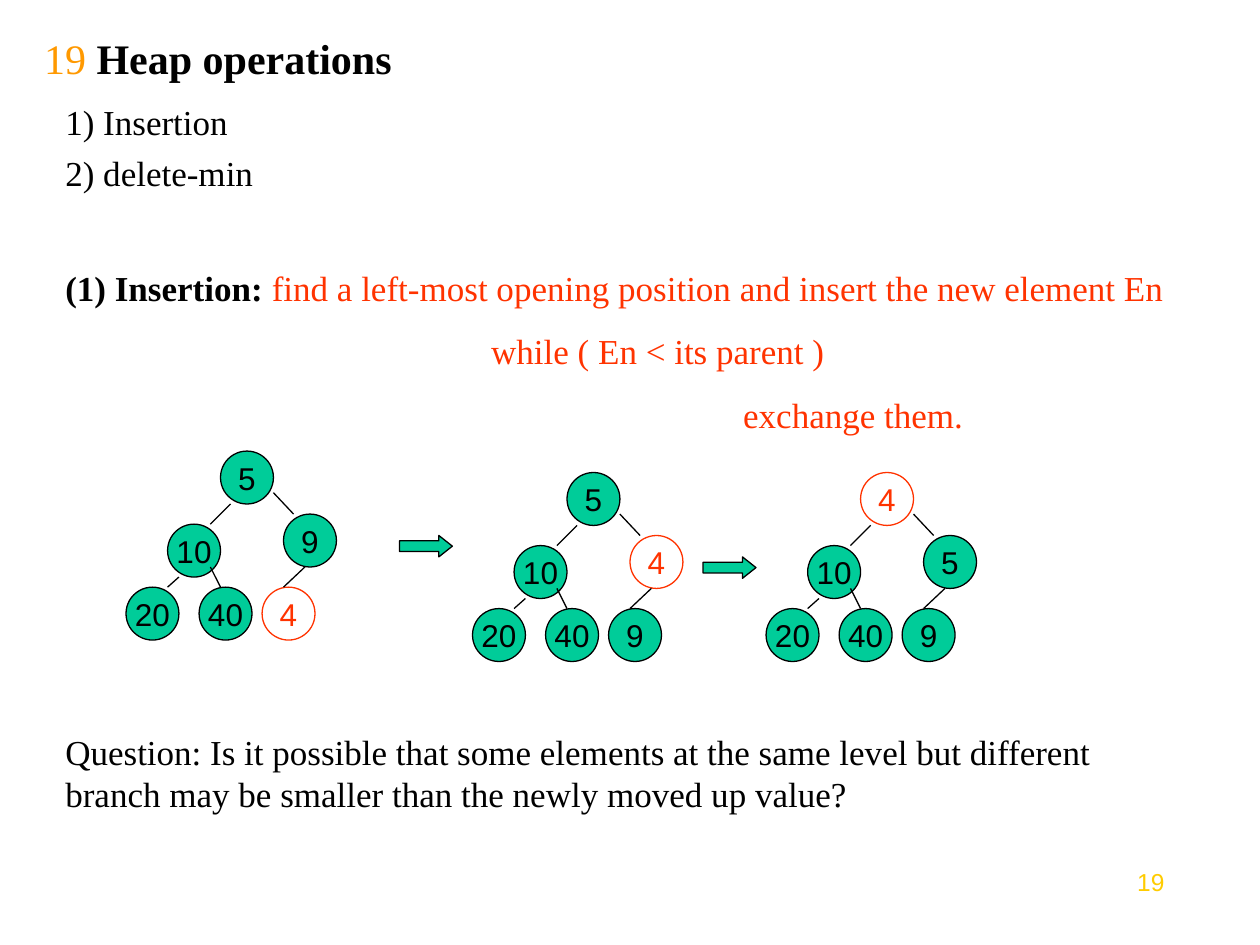
from dataclasses import dataclass

from lxml import etree
from pptx import Presentation
from pptx.dml.color import RGBColor
from pptx.enum.shapes import MSO_CONNECTOR, MSO_SHAPE
from pptx.enum.text import MSO_ANCHOR, PP_ALIGN
from pptx.oxml.ns import qn
from pptx.util import Inches, Pt

ELLIPSE, RIGHT_ARROW = MSO_SHAPE.OVAL, MSO_SHAPE.RIGHT_ARROW
STRAIGHT = MSO_CONNECTOR.STRAIGHT
MIDDLE = MSO_ANCHOR.MIDDLE
LEFT, CENTER, RIGHT = PP_ALIGN.LEFT, PP_ALIGN.CENTER, PP_ALIGN.RIGHT

COLORS = {"ink": "000000", "node": "00CC99", "new": "FF3300",
          "title_number": "FF9900", "page_number": "FFCC00"}
SERIF, SANS = "Times New Roman", "Arial"
NODE_SIZE = 0.42
LINE_WIDTH = Pt(0.75)

# Offsets inside one tree: root, its two children, then the three leaves
NODE_OFFSETS = [(0.75, 0), (0.33, 0.58), (1.25, 0.5),
                (0, 1.08), (0.58, 1.08), (1.08, 1.08)]
EDGE_OFFSETS = [(0.83, 0.42, 0.67, 0.58), (0.42, 1, 0.33, 1.08),
                (1.17, 0.33, 1.33, 0.5), (0.67, 0.92, 0.75, 1.08),
                (1.42, 0.92, 1.25, 1.08)]


@dataclass
class Heap:
    left: float
    top: float
    values: list[int]
    new_index: int


@dataclass
class Line:
    phrases: list[tuple[str, str, bool]]  # text, colour, bold
    space_before: float
    indent: float = 0


HEAPS = [
    Heap(1, 3.58, [5, 10, 9, 20, 40, 4], 5),
    Heap(3.75, 3.75, [5, 10, 4, 20, 40, 9], 2),
    Heap(6.08, 3.75, [4, 10, 5, 20, 40, 9], 0),
]
STEP_ARROWS = [(3.17, 4.25), (5.58, 4.42)]
OPERATIONS = [
    Line([("1) Insertion", "ink", False)], 5),
    Line([("2) delete-min", "ink", False)], 5),
    Line([("(1) Insertion: ", "ink", True),
          ("find a left-most opening position and insert the new element En",
           "new", False)], 41.5),
    Line([("while ( En < its parent )", "new", False)], 12.5, 3.38),
    Line([("exchange them.", "new", False)], 12.5, 5.38),
]
QUESTION = [Line([("Question: Is it possible that some elements at the same level "
                   "but different branch may be smaller than the newly moved up "
                   "value?", "ink", False)], 12.5)]


def rgb(name: str) -> RGBColor:
    return RGBColor.from_string(COLORS[name])


def add_run(paragraph, text: str, size: float, color: str,
            font: str = SERIF, bold: bool = False) -> None:
    run = paragraph.add_run()
    run.text = text
    run.font.name, run.font.size, run.font.bold = font, Pt(size), bold
    run.font.color.rgb = rgb(color)


def add_text(slide, left: float, top: float, width: float, height: float,
             lines: list[Line]) -> None:
    box = slide.shapes.add_textbox(Inches(left), Inches(top),
                                   Inches(width), Inches(height))
    frame = box.text_frame
    frame.word_wrap = True
    for index, line in enumerate(lines):
        paragraph = frame.add_paragraph() if index else frame.paragraphs[0]
        paragraph.space_before = Pt(line.space_before)
        paragraph.line_spacing = Pt(24)
        if line.indent:
            paragraph._p.get_or_add_pPr().set("marL", str(Inches(line.indent)))
        for text, color, bold in line.phrases:
            add_run(paragraph, text, 20, color, bold=bold)


def add_outlined(shapes, kind, left: float, top: float, height: float,
                 fill: str | None, outline: str):
    shape = shapes.add_shape(kind, Inches(left), Inches(top),
                             Inches(NODE_SIZE), Inches(height))
    shape.shadow.inherit = False
    if fill:
        shape.fill.solid()
        shape.fill.fore_color.rgb = rgb(fill)
    else:
        shape.fill.background()
    shape.line.color.rgb = rgb(outline)
    shape.line.width = LINE_WIDTH
    return shape


def add_node(shapes, left: float, top: float, value: int, is_new: bool) -> None:
    color = "new" if is_new else "ink"
    node = add_outlined(shapes, ELLIPSE, left, top, NODE_SIZE,
                        None if is_new else "node", color)
    frame = node.text_frame
    frame.word_wrap = False
    frame.vertical_anchor = MIDDLE
    frame.paragraphs[0].alignment = CENTER
    add_run(frame.paragraphs[0], str(value), 18, color, SANS)


def add_edge(shapes, x1: float, y1: float, x2: float, y2: float) -> None:
    edge = shapes.add_connector(STRAIGHT, Inches(x1), Inches(y1),
                                Inches(x2), Inches(y2))
    edge.line.color.rgb = rgb("ink")
    edge.line.width = LINE_WIDTH
    etree.SubElement(edge._element.spPr, qn("a:effectLst"))


def add_heap(slide, heap: Heap) -> None:
    shapes = slide.shapes.add_group_shape().shapes
    for index, ((dx, dy), value) in enumerate(zip(NODE_OFFSETS, heap.values)):
        add_node(shapes, heap.left + dx, heap.top + dy, value,
                 index == heap.new_index)
    for x1, y1, x2, y2 in EDGE_OFFSETS:
        add_edge(shapes, heap.left + x1, heap.top + y1,
                 heap.left + x2, heap.top + y2)


def main() -> None:
    deck = Presentation()
    deck.slide_width, deck.slide_height = Inches(10), Inches(7.5)
    slide = deck.slides.add_slide(deck.slide_layouts[5])

    # Title
    title = slide.shapes.title
    title.left, title.top = Inches(0.25), Inches(0.25)
    title.width, title.height = Inches(8.5), Inches(0.42)
    title.text_frame.vertical_anchor = MIDDLE
    heading = title.text_frame.paragraphs[0]
    heading.alignment = LEFT
    add_run(heading, "19 ", 24, "title_number")
    add_run(heading, "Heap operations", 24, "ink", bold=True)

    # Operations and the insertion rule
    add_text(slide, 0.42, 0.75, 9.33, 2.83, OPERATIONS)

    # Heap after each exchange
    for heap in HEAPS:
        add_heap(slide, heap)
    for left, top in STEP_ARROWS:
        arrow = add_outlined(slide.shapes, RIGHT_ARROW, left, top, 0.17,
                             "node", "ink")
        arrow.adjustments[1] = 0.63

    # Closing question
    add_text(slide, 0.42, 5.75, 8.67, 0.77, QUESTION)

    # Page number
    page = slide.shapes.add_textbox(Inches(8.67), Inches(6.83),
                                    Inches(0.67), Inches(0.52))
    page.text_frame.word_wrap = True
    page.text_frame.paragraphs[0].alignment = RIGHT
    add_run(page.text_frame.paragraphs[0], "19", 14, "page_number", SANS)

    deck.save("out.pptx")


if __name__ == "__main__":
    main()
